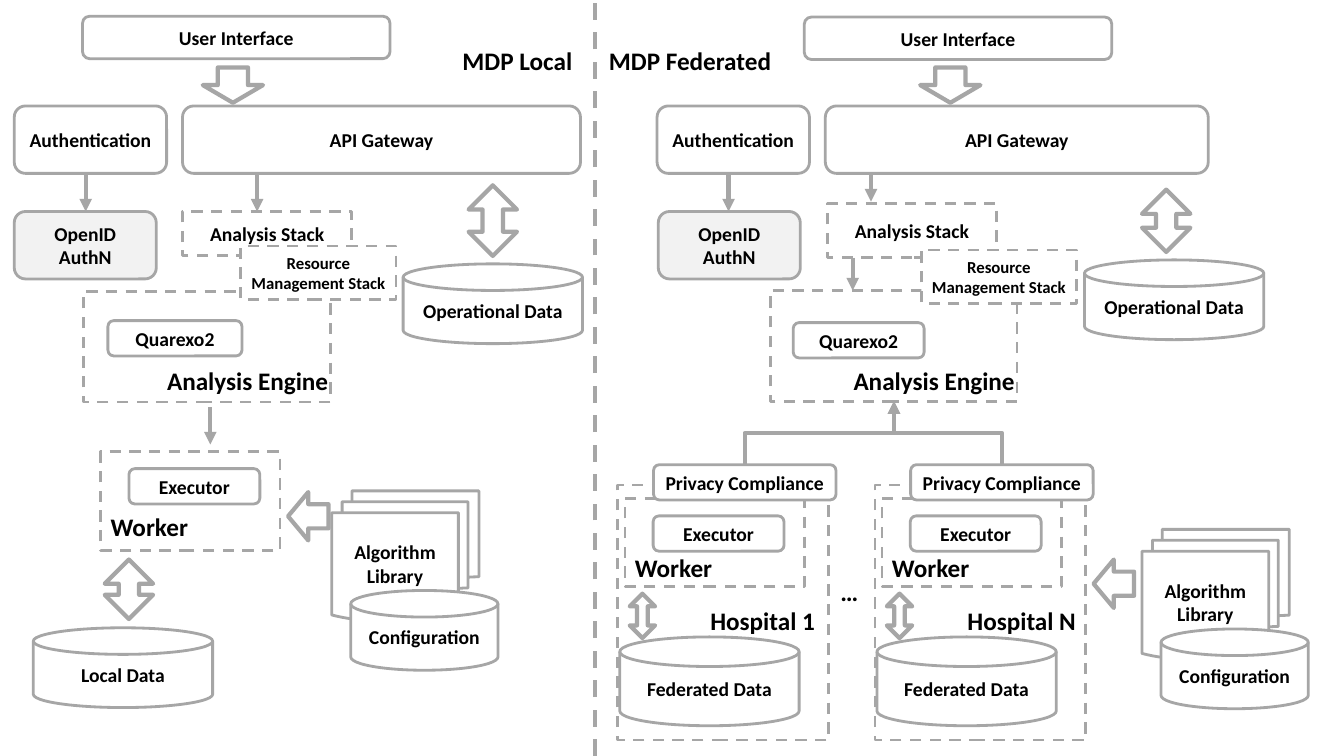
"""Build a slide comparing a local and a federated analysis platform architecture."""
import lxml.etree
import pptx
import pptx.dml.color
import pptx.enum.dml
import pptx.enum.shapes
import pptx.enum.text
import pptx.oxml.ns
import pptx.util

Cm, Pt = pptx.util.Cm, pptx.util.Pt
MSO = pptx.enum.shapes.MSO_SHAPE
CONNECTOR = pptx.enum.shapes.MSO_CONNECTOR
ALIGN = pptx.enum.text.PP_ALIGN
DASH = pptx.enum.dml.MSO_LINE.DASH
GREY, PALE, WHITE, BLACK = "A6A6A6", "F2F2F2", "FFFFFF", "000000"

KINDS = {
    "round": MSO.ROUNDED_RECTANGLE, "frame": MSO.RECTANGLE,
    "disk": MSO.FLOWCHART_MAGNETIC_DISK, "docs": MSO.FLOWCHART_MULTIDOCUMENT,
    "down": MSO.DOWN_ARROW, "left": MSO.LEFT_ARROW, "updown": MSO.UP_DOWN_ARROW,
}
BLOCK_ARROWS = ("down", "left", "updown")
FILLS = {"OpenID\vAuthN": PALE}
SIZES = {"Resource Management Stack": 12}

HEADINGS = [(1, "MDP Local", 11.4, 3.6), (3, "MDP Federated", 15.09, 5)]

LOCAL = [
    ("round", "User Interface", 2.08, 0.41, 7.75, 1.07),
    ("down", "", 5.11, 1.7, 1.52, 0.89),
    ("round", "Authentication", 0.36, 2.67, 3.84, 1.7),
    ("round", "API Gateway", 4.6, 2.67, 10.03, 1.7),
    ("round", "OpenID\vAuthN", 0.36, 5.33, 3.58, 1.7),
    ("frame", "Analysis Stack", 4.6, 5.33, 4.27, 1.12),
    ("updown", "", 11.81, 4.67, 1.22, 1.78),
    ("disk", "Operational Data", 10.16, 6.65, 4.52, 2.01),
    ("frame", "", 2.11, 7.34, 6.22, 2.79),
    ("round", "Quarexo2", 2.72, 8.08, 3.38, 0.89),
    ("label", "Analysis Engine", 3.96, 9.09, 4.6, 1.02),
    ("frame", "Resource Management Stack", 6.07, 6.2, 3.91, 1.35),
    ("frame", "", 2.54, 11.38, 4.52, 2.49),
    ("round", "Executor", 3.25, 11.81, 3.3, 0.89),
    ("label", "Worker", 2.54, 12.75, 2.49, 1.02),
    ("left", "", 7.26, 12.4, 1.02, 1.22),
    ("docs", "Algorithm Library", 8.36, 12.37, 3.71, 3.25),
    ("disk", "Configuration", 8.84, 14.88, 3.71, 2.01),
    ("updown", "", 2.64, 14.1, 1.22, 1.5),
    ("disk", "Local Data", 0.84, 15.82, 4.52, 2.01),
]

FEDERATED = [
    ("round", "User Interface", 20.27, 0.43, 7.75, 1.07),
    ("down", "", 23.19, 1.7, 1.52, 0.89),
    ("round", "Authentication", 16.56, 2.67, 3.84, 1.7),
    ("round", "API Gateway", 20.8, 2.67, 9.65, 1.7),
    ("round", "OpenID\vAuthN", 16.59, 5.33, 3.58, 1.7),
    ("frame", "Analysis Stack", 20.85, 5.13, 4.27, 1.37),
    ("updown", "", 28.78, 4.78, 1.22, 1.57),
    ("disk", "Operational Data", 27.33, 6.55, 4.52, 2.01),
    ("frame", "", 19.41, 7.32, 6.22, 2.79),
    ("round", "Quarexo2", 19.99, 8.13, 3.3, 0.89),
    ("label", "Analysis Engine", 21.26, 9.07, 4.6, 1.02),
    ("frame", "Resource Management Stack", 23.22, 6.3, 3.91, 1.35),
    ("label", "…", 20.93, 14.4, 0.97, 1.02),
    ("left", "", 27.56, 14.1, 1.02, 1.22),
    ("docs", "Algorithm Library", 28.78, 13.34, 3.71, 3.25),
    ("disk", "Configuration", 29.26, 15.85, 3.71, 2.01),
]

HOSPITALS = [("Hospital 1", 15.57), ("Hospital N", 22.05)]
HOSPITAL_PARTS = [
    ("frame", "", 0, 12.22, 5.31, 6.43),
    ("disk", "Federated Data", 0.05, 16.05, 4.52, 2.24),
    ("frame", "", 0.18, 12.57, 4.52, 2.21),
    ("round", "Executor", 0.89, 13, 3.3, 0.89),
    ("label", "Worker", 0.18, 13.79, 2.49, 1.02),
    ("updown", "", 0.3, 14.96, 0.64, 1.12),
    ("round", "Privacy Compliance", 0.9, 11.71, 4.6, 0.89),
]
HOSPITAL_LABEL = (2.08, 15.14, 3.6, 1.02)
PRIVACY_TOP = (3.2, 11.71)
ENGINE_BOTTOM = (22.53, 10.11)

DOWN_LINES = [
    (2.16, 4.42, 5.33), (6.48, 4.42, 5.33), (5.3, 10.26, 11.2),
    (18.36, 4.42, 5.33), (21.95, 4.42, 5.08), (21.49, 6.5, 7.32),
]


def rgb(value):
    return pptx.dml.color.RGBColor.from_string(value)


def write(tf, text, size, align):
    tf.text = text
    p = tf.paragraphs[0]
    p.alignment = align
    p.font.name, p.font.size, p.font.bold = "Calibri", Pt(size), True
    p.font.color.rgb = rgb(BLACK)


def outline(line, width, dashed=False):
    line.color.rgb = rgb(GREY)
    line.width = Pt(width)
    if dashed:
        line.dash_style = DASH


def add_part(s, kind, text, *box):
    box = [Cm(v) for v in box]
    if kind == "label":
        sp = s.shapes.add_textbox(*box)
        sp.text_frame.word_wrap = True
        write(sp.text_frame, text, 18, ALIGN.LEFT)
        return
    sp = s.shapes.add_shape(KINDS[kind], *box)
    sp.shadow.inherit = False
    sp.fill.solid()
    sp.fill.fore_color.rgb = rgb(FILLS.get(text, WHITE))
    outline(sp.line, 3 if kind in BLOCK_ARROWS else 2, kind == "frame")
    if kind == "updown":
        sp.adjustments[1] = 0.42
    if text:
        write(sp.text_frame, text, SIZES.get(text, 14), ALIGN.CENTER)


def add_line(s, x1, y1, x2, y2, kind=CONNECTOR.STRAIGHT, arrow=True):
    c = s.shapes.add_connector(kind, Cm(x1), Cm(y1), Cm(x2), Cm(y2))
    outline(c.line, 3, not arrow)
    qn = pptx.oxml.ns.qn
    lxml.etree.SubElement(c.element.spPr, qn("a:effectLst"))
    if arrow:
        ln = c.element.spPr.find(qn("a:ln"))
        lxml.etree.SubElement(ln, qn("a:tailEnd"), type="triangle")
    return c


def add_rising_elbow(s, x1, y1, x2, y2):
    """Draw an elbow that leaves upwards, as a sideways one turned by 270 degrees."""
    cx, cy = (x1 + x2) / 2, (y1 + y2) / 2
    c = add_line(s, cx + cy - y1, cy + x1 - cx, cx + cy - y2, cy + x2 - cx,
                 CONNECTOR.ELBOW)
    c.element.spPr.find(pptx.oxml.ns.qn("a:xfrm")).set("rot", str(270 * 60000))


prs = pptx.Presentation()
prs.slide_width, prs.slide_height = Cm(33.87), Cm(19.05)
s = prs.slides.add_slide(prs.slide_layouts.get_by_name("Comparison"))

headings = {ph.placeholder_format.idx: ph for ph in s.placeholders}
for idx, text, x, w in HEADINGS:
    sp = headings.pop(idx)
    sp.left, sp.top, sp.width, sp.height = Cm(x), Cm(1), Cm(w), Cm(1.02)
    write(sp.text_frame, text, 18, ALIGN.LEFT)
    sp.text_frame.paragraphs[0].space_before = Pt(0)
for unused in headings.values():
    unused.element.getparent().remove(unused.element)

for part in LOCAL + FEDERATED:
    add_part(s, *part)
for name, left in HOSPITALS:
    for kind, text, dx, *rest in HOSPITAL_PARTS:
        add_part(s, kind, text, left + dx, *rest)
    dx, *rest = HOSPITAL_LABEL
    add_part(s, "label", name, left + dx, *rest)
    add_rising_elbow(s, left + PRIVACY_TOP[0], PRIVACY_TOP[1], *ENGINE_BOTTOM)
for x, top, bottom in DOWN_LINES:
    add_line(s, x, top, x, bottom)
add_line(s, 15, 19.05, 15, 0, arrow=False)

prs.save("out.pptx")
